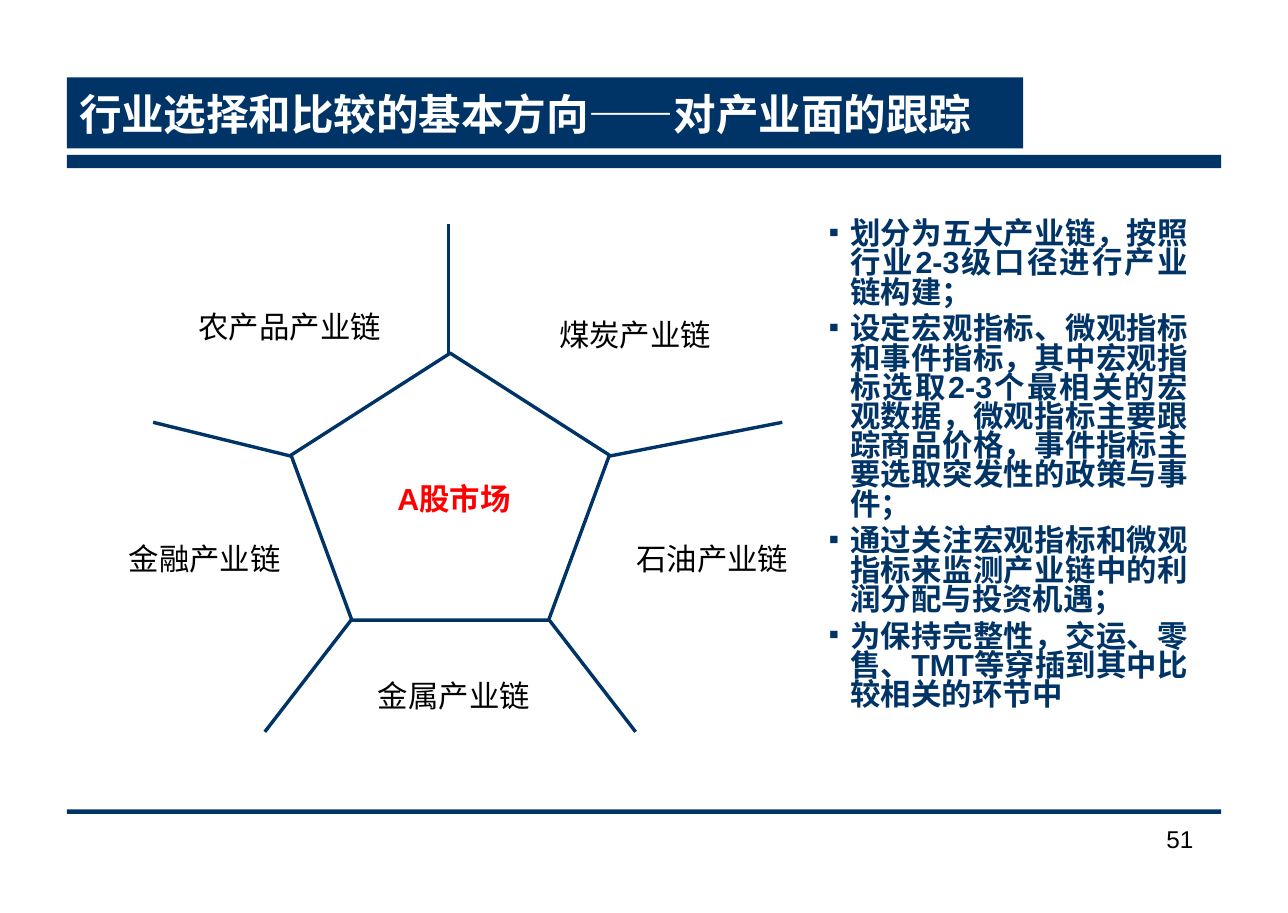
from lxml import etree
from pptx import Presentation
from pptx import util as u
from pptx.dml.color import RGBColor
from pptx.enum import lang, shapes, text
from pptx.oxml import ns

SCALE = 3175
NAVY = RGBColor(0x00, 0x33, 0x66)
RED = RGBColor(0xFF, 0x00, 0x00)
BLACK = RGBColor(0x00, 0x00, 0x00)
WHITE = RGBColor(0xFF, 0xFF, 0xFF)

TITLE = "行业选择和比较的基本方向——对产业面的跟踪"
CHAINS = [
    ("农产品产业链", 446, 795),
    ("煤炭产业链", 1355, 815),
    ("石油产业链", 1558, 1405),
    ("金属产业链", 878, 1768),
    ("金融产业链", 222, 1405),
]
SPOKES = [
    (924, 1633, 697, 1927),
    (1446, 1633, 1673, 1927),
    (1604, 1201, 2059, 1112),
    (766, 1201, 403, 1112),
    (1181, 930, 1181, 590),
]
POINTS = [
    "划分为五大产业链，按照行业2-3级口径进行产业链构建；",
    "设定宏观指标、微观指标和事件指标，其中宏观指标选取2-3个最相关的宏观数据，"
    "微观指标主要跟踪商品价格，事件指标主要选取突发性的政策与事件；",
    "通过关注宏观指标和微观指标来监测产业链中的利润分配与投资机遇；",
    "为保持完整性，交运、零售、TMT等穿插到其中比较相关的环节中",
]


def px(*sizes):
    return [u.Emu(size * SCALE) for size in sizes]


def add_mark(para):
    props = para._p.get_or_add_pPr()
    indent = 55 * SCALE
    props.set("marL", str(indent))
    props.set("indent", str(-indent))
    color = etree.SubElement(props, ns.qn("a:buClr"))
    etree.SubElement(color, ns.qn("a:srgbClr"), val=str(NAVY))
    etree.SubElement(props, ns.qn("a:buSzPct"), val="50000")
    etree.SubElement(props, ns.qn("a:buFont"), typeface="Arial")
    etree.SubElement(props, ns.qn("a:buChar"), char="■")


def write(frame, lines, size=20, color=BLACK, bold=False,
          align=text.PP_ALIGN.CENTER, anchor=text.MSO_ANCHOR.TOP,
          mark=False, lead=None, gap=0):
    frame.word_wrap = True
    frame.vertical_anchor = anchor
    frame.margin_left, frame.margin_right = px(32, 32)
    frame.margin_top, frame.margin_bottom = px(16, 16)
    for index, line in enumerate(lines):
        para = frame.add_paragraph() if index else frame.paragraphs[0]
        if mark:
            add_mark(para)
        para.alignment = align
        para.line_spacing = lead
        if index and gap:
            para.space_before = u.Pt(gap)
        run = para.add_run()
        run.text = line
        font = run.font
        font.name = "Arial"
        font.size = u.Pt(size)
        font.bold = bold
        font.color.rgb = color
        font.language_id = lang.MSO_LANGUAGE_ID.SIMPLIFIED_CHINESE


def add_text(slide, box, lines, **style):
    write(slide.shapes.add_textbox(*px(*box)).text_frame, lines, **style)


def add_bar(slide, *box):
    bar = slide.shapes.add_shape(shapes.MSO_SHAPE.RECTANGLE, *px(*box))
    bar.shadow.inherit = False
    bar.fill.solid()
    bar.fill.fore_color.rgb = NAVY
    bar.line.fill.background()
    return bar


def draw_line(line):
    line.color.rgb = NAVY
    line.width = u.Pt(2.25)


def add_core(slide, *box):
    core = slide.shapes.add_shape(shapes.MSO_SHAPE.REGULAR_PENTAGON, *px(*box))
    core.shadow.inherit = False
    core.fill.background()
    draw_line(core.line)


def add_spoke(slide, *ends):
    spoke = slide.shapes.add_connector(shapes.MSO_CONNECTOR.STRAIGHT, *px(*ends))
    draw_line(spoke.line)
    etree.SubElement(spoke._element.spPr, ns.qn("a:effectLst"))


def main():
    deck = Presentation()
    deck.slide_width, deck.slide_height = px(3390, 2404)
    slide = deck.slides.add_slide(deck.slide_layouts[6])

    add_bar(slide, 176, 408, 3038, 35)
    add_bar(slide, 176, 2131, 3038, 12)
    head = add_bar(slide, 176, 204, 2517, 187)
    write(head.text_frame, [TITLE], size=28, color=WHITE, bold=True,
          align=text.PP_ALIGN.LEFT, anchor=text.MSO_ANCHOR.MIDDLE)

    for name, left, top in CHAINS:
        add_text(slide, (left, top, 634, 130), [name])
    add_text(slide, (2151, 567, 1008, 1475), POINTS, color=NAVY, bold=True,
             align=text.PP_ALIGN.JUSTIFY, mark=True, lead=0.8, gap=5)
    add_text(slide, (878, 1247, 634, 130), ["A股市场"], color=RED, bold=True)

    add_core(slide, 766, 930, 838, 703)
    for ends in SPOKES:
        add_spoke(slide, *ends)
    add_text(slide, (2917, 2154, 256, 167), ["51"], size=16,
             align=text.PP_ALIGN.RIGHT)

    deck.save("out.pptx")


if __name__ == "__main__":
    main()
